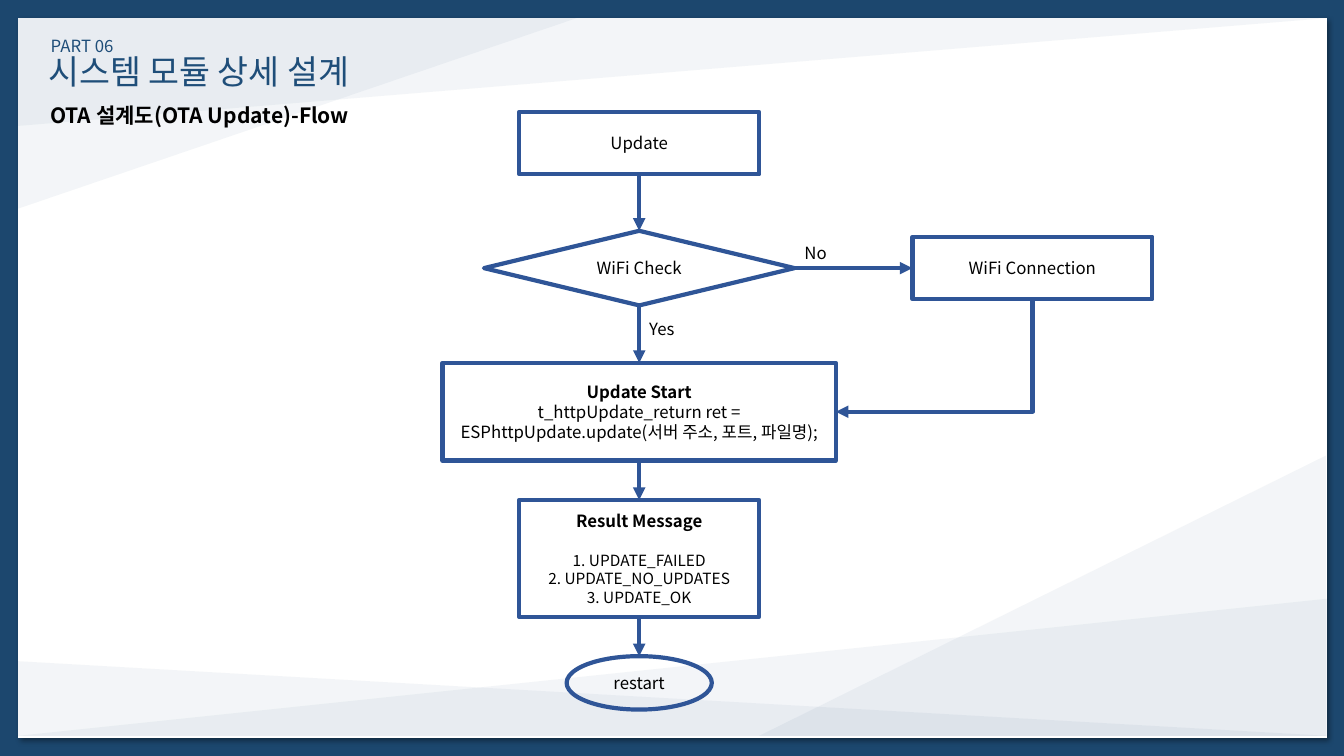
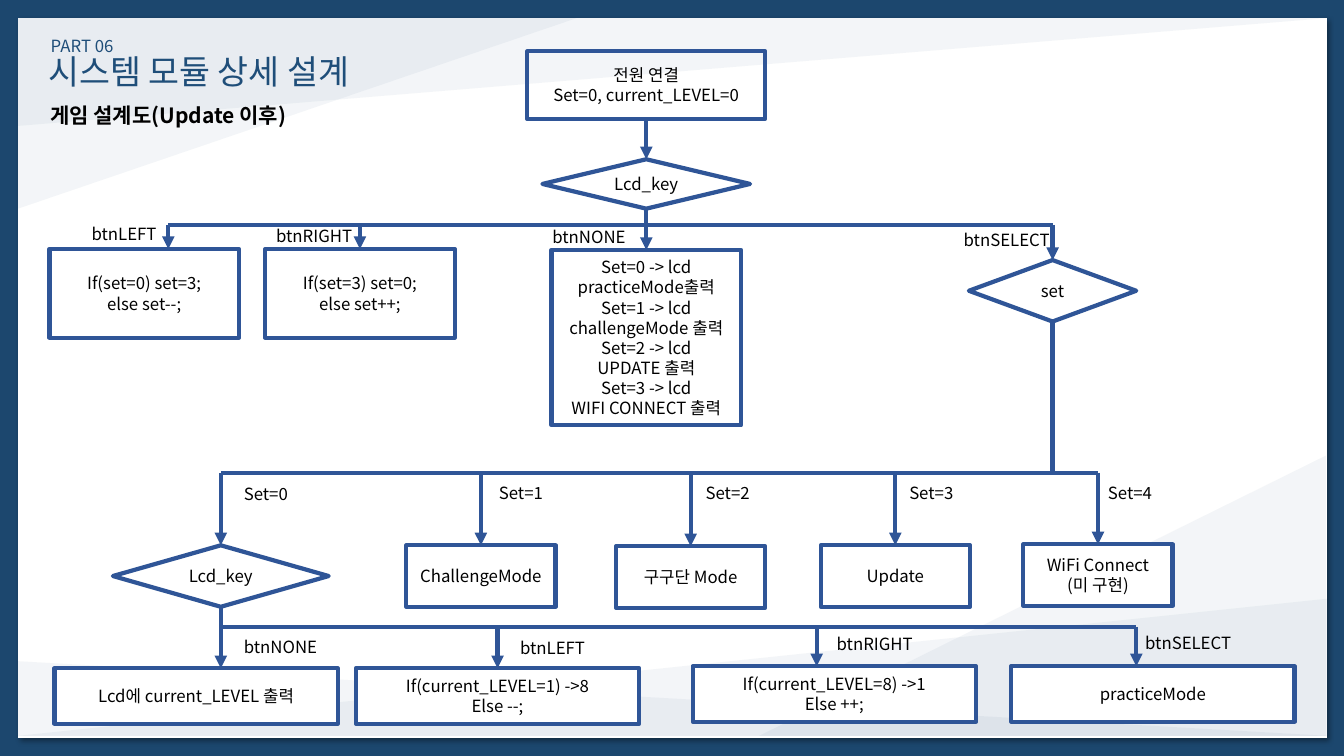
from dataclasses import dataclass

import pptx
import pptx.dml.color
import pptx.enum.shapes
import pptx.enum.text
import pptx.oxml
import pptx.oxml.ns
import pptx.util
from lxml import etree

Inches = pptx.util.Inches
Pt = pptx.util.Pt
qn = pptx.oxml.ns.qn
SHAPE = pptx.enum.shapes.MSO_SHAPE
CONNECTOR = pptx.enum.shapes.MSO_CONNECTOR
ALIGN = pptx.enum.text.PP_ALIGN
ANCHOR = pptx.enum.text.MSO_ANCHOR
TOP, LEFT, BOTTOM, RIGHT = range(4)


@dataclass(frozen=True)
class Theme:
    font: str = "Noto Sans CJK KR"
    frame: str = "1C476E"
    accent: str = "1F4E79"
    line: str = "2F5597"
    paper: str = "FFFFFF"
    ink: str = "000000"
    title_size: int = 24
    subtitle_size: int = 15
    body_size: int = 12
    list_size: int = 11
    line_width: int = 3
    line_pitch: float = 1.2


THEME = Theme()

PART = "PART 06"
TITLE = "시스템 모듈 상세 설계"
PAPER_BOX = (0.18, 0.18, 12.98, 7.14)
# left, top, width, height, flips that place the right angle
PAPER_TRIANGLES = [
    (0.18, 5.94, 12.98, 1.36, ("flipH",)),
    (7.53, 4.52, 5.62, 2.78, ("flipH",)),
    (0.18, 0.18, 12.98, 1.07, ("flipV",)),
    (0.18, 0.18, 5.54, 1.89, ("flipV",)),
    (0.18, 6.56, 12.98, 0.74, ()),
]

BOX, DECISION, END = SHAPE.RECTANGLE, SHAPE.FLOWCHART_DECISION, SHAPE.OVAL
BOLD = {"bold": True}
LIST_ITEM = {"size": THEME.list_size}

# name: preset, left, top, width, height, lines
OTA_FLOW = {
    "subtitle": "OTA 설계도(OTA Update)-Flow",
    "nodes": {
        "update": (BOX, 5.15, 1.11, 2.38, 0.62, ["Update"]),
        "check": (DECISION, 4.8, 2.29, 3.08, 0.74, ["WiFi Check"]),
        "connection": (BOX, 9.05, 2.35, 2.38, 0.62, ["WiFi Connection"]),
        "start": (BOX, 4.39, 3.6, 3.9, 0.97, [
            ("Update Start", BOLD),
            "t_httpUpdate_return ret = ESPhttpUpdate.update(서버 주소, 포트, 파일명);"]),
        "result": (BOX, 5.15, 4.96, 2.38, 1.16, [
            ("Result Message", BOLD),
            ("1. UPDATE_FAILED", {**LIST_ITEM, "space_before": 14.4}),
            ("2. UPDATE_NO_UPDATES", LIST_ITEM),
            ("3. UPDATE_OK", LIST_ITEM)]),
        "restart": (END, 5.62, 6.51, 1.44, 0.53, ["restart"]),
    },
    "links": [
        ("update", BOTTOM, "check", TOP),
        ("check", RIGHT, "connection", LEFT),
        ("check", BOTTOM, "start", TOP),
        ("connection", BOTTOM, "start", RIGHT),
        ("start", BOTTOM, "result", TOP),
        ("result", BOTTOM, "restart", TOP),
    ],
    "branches": [],
    "labels": [("Yes", 6.34, 3.11), ("No", 7.88, 2.36)],
}

GAME_FLOW = {
    "subtitle": "게임 설계도(Update 이후)",
    "nodes": {
        "power": (BOX, 5.23, 0.51, 2.36, 0.67, ["전원 연결", "Set=0, current_LEVEL=0"]),
        "menu key": (DECISION, 5.38, 1.58, 2.06, 0.49, ["Lcd_key"]),
        "menu left": (BOX, 0.49, 2.47, 1.88, 0.88, ["If(set=0) set=3;", "else set--;"]),
        "menu right": (BOX, 2.63, 2.47, 1.88, 0.88, ["If(set=3) set=0;", "else set++;"]),
        "menu none": (BOX, 5.47, 2.48, 1.88, 1.74, [
            "Set=0 -> lcd practiceMode출력",
            "Set=1 -> lcd", "challengeMode 출력",
            "Set=2 -> lcd", "UPDATE 출력",
            "Set=3 -> lcd", "WIFI CONNECT 출력"]),
        "set": (DECISION, 9.61, 2.58, 1.66, 0.61, ["set"]),
        "level key": (DECISION, 1.12, 5.41, 2.14, 0.61, ["Lcd_key"]),
        "challenge": (BOX, 4.03, 5.41, 1.48, 0.61, ["ChallengeMode"]),
        "times table": (BOX, 6.11, 5.42, 1.48, 0.61, ["구구단 Mode"]),
        "update": (BOX, 8.14, 5.41, 1.48, 0.61, ["Update"]),
        "wifi": (BOX, 10.15, 5.4, 1.48, 0.61, ["WiFi Connect", "(미 구현)"]),
        "level none": (BOX, 0.54, 6.63, 2.81, 0.55, ["Lcd에 current_LEVEL 출력"]),
        "level left": (BOX, 3.53, 6.63, 2.81, 0.55, ["If(current_LEVEL=1) ->8", "Else --;"]),
        "level right": (BOX, 6.87, 6.61, 2.81, 0.55, ["If(current_LEVEL=8) ->1", "Else ++;"]),
        "practice": (BOX, 10.03, 6.61, 2.81, 0.55, ["practiceMode"]),
    },
    "links": [("power", BOTTOM, "menu key", TOP)],
    # parent, height of the shared line, children (x is None: middle of the child)
    "branches": [
        ("menu key", 2.23, [("menu left", 1.67), ("menu right", None),
                            ("menu none", None), ("set", None)]),
        ("set", 4.69, [("level key", None), ("challenge", None), ("times table", None),
                       ("update", None), ("wifi", None)]),
        ("level key", 6.22, [("level none", 2.19), ("level left", None),
                             ("level right", 8.1), ("practice", 11.27)]),
    ],
    "labels": [
        ("btnLEFT", 0.81, 2.17), ("btnRIGHT", 2.64, 2.19),
        ("btnNONE", 5.38, 2.2), ("btnSELECT", 9.46, 2.23),
        ("Set=0", 2.32, 4.75), ("Set=1", 4.85, 4.74), ("Set=2", 6.9, 4.74),
        ("Set=3", 8.92, 4.74), ("Set=4", 10.89, 4.74),
        ("btnNONE", 2.32, 6.27), ("btnLEFT", 5.06, 6.28),
        ("btnRIGHT", 8.2, 6.24), ("btnSELECT", 11.26, 6.23),
    ],
}

# nodes that let the paper show through
UNFILLED = {"power", "restart"}


def rgb(color):
    return pptx.dml.color.RGBColor.from_string(color)


def put_text(shape, lines, *, size=THEME.body_size, color=THEME.ink, bold=False,
             align=ALIGN.LEFT, anchor=ANCHOR.TOP, wrap=True):
    """Write one paragraph per line; a line may be (text, own format)."""
    frame = shape.text_frame
    frame.word_wrap = wrap
    frame.vertical_anchor = anchor
    for index, line in enumerate(lines):
        text, own = (line, {}) if isinstance(line, str) else line
        paragraph = frame.add_paragraph() if index else frame.paragraphs[0]
        paragraph.alignment = align
        line_size = own.get("size", size)
        paragraph.line_spacing = Pt(line_size * THEME.line_pitch)
        if "space_before" in own:
            paragraph.space_before = Pt(own["space_before"])
        run = paragraph.add_run()
        run.text = text
        run.font.size = Pt(line_size)
        run.font.bold = own.get("bold", bold)
        run.font.color.rgb = rgb(color)
        run.font.name = THEME.font
        east_asian = etree.SubElement(run._r.get_or_add_rPr(), qn("a:ea"))
        east_asian.set("typeface", THEME.font)


def add_label(slide, text, left, top, width=1.14, height=0.3, **text_format):
    box = slide.shapes.add_textbox(*map(Inches, (left, top, width, height)))
    put_text(box, [text], **text_format)


def add_plain_shape(slide, preset, box, fill=None, line=None):
    shape = slide.shapes.add_shape(preset, *map(Inches, box))
    shape.shadow.inherit = False
    if fill:
        shape.fill.solid()
        shape.fill.fore_color.rgb = rgb(fill)
    else:
        shape.fill.background()
    if line:
        shape.line.color.rgb = rgb(line)
        shape.line.width = Pt(THEME.line_width)
    else:
        shape.line.fill.background()
    return shape


def set_alpha(color_element, percent):
    etree.SubElement(color_element, qn("a:alpha")).set("val", str(percent * 1000))


def add_paper(slide):
    """Draw the white sheet with its shadow and pale triangles."""
    sheet = add_plain_shape(slide, SHAPE.RECTANGLE, PAPER_BOX, THEME.paper)
    effects = sheet._element.spPr.find(qn("a:effectLst"))
    shadow = etree.SubElement(effects, qn("a:outerShdw"), blurRad=str(Pt(4)),
                              dist=str(Pt(3)), dir=str(45 * 60000))
    set_alpha(etree.SubElement(shadow, qn("a:srgbClr"), val=THEME.ink), 40)
    for *box, flips in PAPER_TRIANGLES:
        triangle = add_plain_shape(slide, SHAPE.RIGHT_TRIANGLE, box, THEME.accent)
        properties = triangle._element.spPr
        set_alpha(properties.find(qn("a:solidFill")).find(qn("a:srgbClr")), 5)
        for flip in flips:
            properties.find(qn("a:xfrm")).set(flip, "1")


def add_heading(slide, subtitle):
    add_label(slide, TITLE, 0.38, 0.46, 4.04, 0.5, size=THEME.title_size, color=THEME.accent)
    add_label(slide, PART, 0.4, 0.31, 0.83, color=THEME.accent, align=ALIGN.CENTER, wrap=False)
    add_label(slide, subtitle, 0.4, 0.97, 3.6, 0.35, size=THEME.subtitle_size, bold=True)


def add_node(slide, name, preset, *box, lines):
    fill = None if name in UNFILLED else THEME.paper
    shape = add_plain_shape(slide, preset, box, fill, THEME.line)
    put_text(shape, lines, align=ALIGN.CENTER, anchor=ANCHOR.MIDDLE)
    return shape


def side_middle(shape, side):
    across = {LEFT: 0, RIGHT: shape.width}.get(side, shape.width // 2)
    down = {TOP: 0, BOTTOM: shape.height}.get(side, shape.height // 2)
    return shape.left + across, shape.top + down


def add_line(slide, begin, end, arrow=True):
    """Join two ends, each a point (x, y) or a (shape, side) pair."""
    joined = [not isinstance(stop[0], int) for stop in (begin, end)]
    points = [side_middle(*stop) if is_joined else stop
              for stop, is_joined in zip((begin, end), joined)]
    bent = all(joined) and (begin[1], end[1]) == (BOTTOM, RIGHT)
    kind = CONNECTOR.ELBOW if bent else CONNECTOR.STRAIGHT
    connector = slide.shapes.add_connector(kind, *points[0], *points[1])
    if joined[0]:
        connector.begin_connect(*begin)
    if joined[1]:
        connector.end_connect(*end)
    connector.line.color.rgb = rgb(THEME.line)
    connector.line.width = Pt(THEME.line_width)
    properties = connector._element.spPr
    if arrow:
        etree.SubElement(properties.find(qn("a:ln")), qn("a:tailEnd"), type="triangle")
    etree.SubElement(properties, qn("a:effectLst"))
    if bent:
        turn_down_then_left(connector, *points)


def turn_down_then_left(connector, begin, end):
    """Make an elbow with one corner, by a quarter turn of its frame."""
    across, down = begin[0] - end[0], end[1] - begin[1]
    connector.left = (begin[0] + end[0] - down) // 2
    connector.top = (begin[1] + end[1] - across) // 2
    connector.width, connector.height = down, across
    properties = connector._element.spPr
    properties.find(qn("a:prstGeom")).set("prst", "bentConnector2")
    frame = properties.find(qn("a:xfrm"))
    frame.attrib.pop("flipH", None)
    frame.set("rot", str(90 * 60000))


def add_branch(slide, nodes, parent, height, children):
    """Draw a trunk from the parent, a shared line and a drop to each child."""
    level = Inches(height)
    trunk = (nodes[parent], BOTTOM)
    add_line(slide, trunk, (side_middle(*trunk)[0], level), arrow=False)
    drops = []
    for name, x in children:
        child = (nodes[name], TOP)
        middle, top = side_middle(*child)
        drops.append((middle, child) if x is None else (Inches(x), (Inches(x), top)))
    columns = [x for x, _ in drops]
    add_line(slide, (min(columns), level), (max(columns), level), arrow=False)
    for x, end in drops:
        add_line(slide, (x, level), end)


def add_flow_slide(presentation, flow):
    slide = presentation.slides.add_slide(presentation.slide_layouts[6])
    add_paper(slide)
    add_heading(slide, flow["subtitle"])
    nodes = {name: add_node(slide, name, *place, lines=lines)
             for name, (*place, lines) in flow["nodes"].items()}
    for source, source_side, target, target_side in flow["links"]:
        add_line(slide, (nodes[source], source_side), (nodes[target], target_side))
    for branch in flow["branches"]:
        add_branch(slide, nodes, *branch)
    for label in flow["labels"]:
        add_label(slide, *label)


def main():
    presentation = pptx.Presentation()
    presentation.slide_width = Inches(13.33)
    presentation.slide_height = Inches(7.5)
    background = presentation.slide_master.background.fill
    background.solid()
    background.fore_color.rgb = rgb(THEME.frame)
    for flow in (OTA_FLOW, GAME_FLOW):
        add_flow_slide(presentation, flow)
    presentation.save("out.pptx")


if __name__ == "__main__":
    main()
